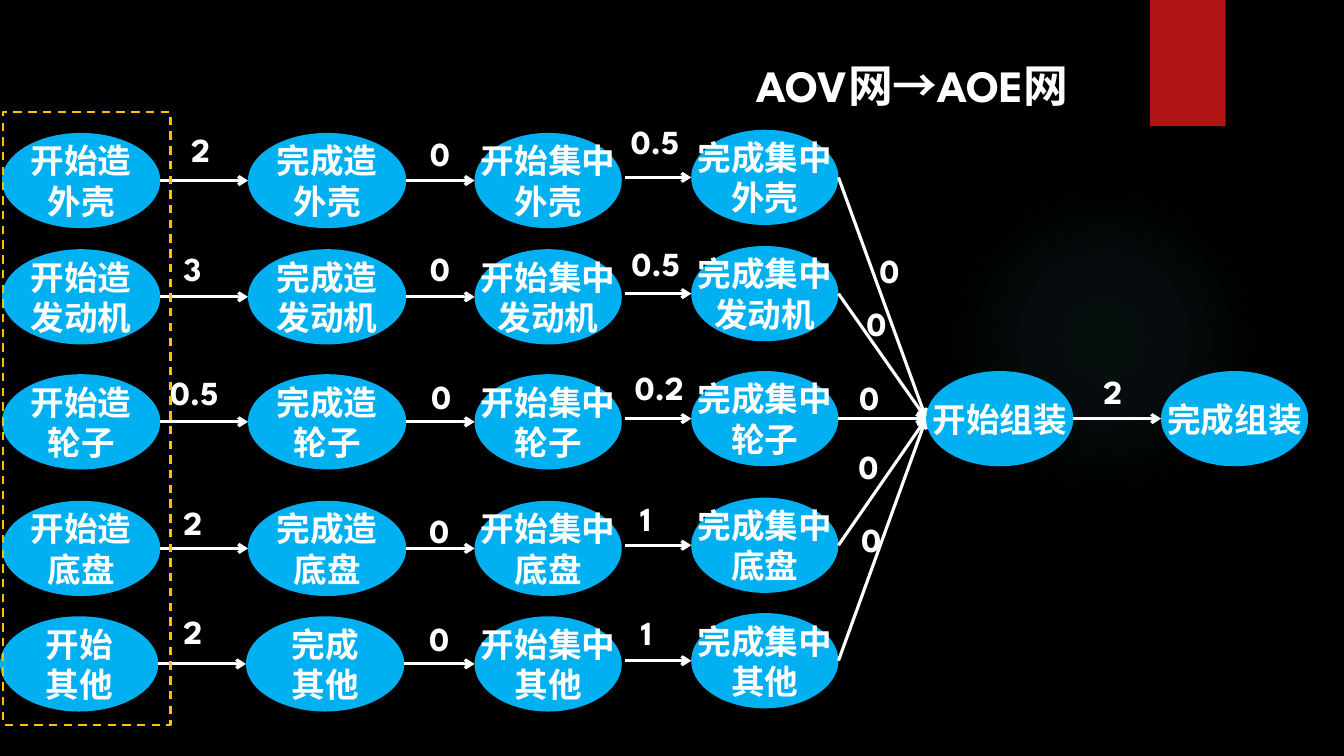
from lxml import etree
from pptx import Presentation
from pptx import util as u
from pptx.dml.color import RGBColor
from pptx.enum import dml, shapes, text
from pptx.oxml import parse_xml
from pptx.oxml.ns import nsdecls, qn

WHITE, BLUE, RED, AMBER, TEAL = "FFFFFF", "00B0F0", "B01513", "FFC000", "50B9C1"
NODE_HEIGHT, WIDE, NARROW = 2.4, 3.99, 3.71


def paint(fill, colour):
    fill.solid()
    fill.fore_color.rgb = RGBColor.from_string(colour)


def write(frame, words, size=24, align=text.PP_ALIGN.LEFT,
          anchor=text.MSO_ANCHOR.TOP, wrap=True, font="League Spartan", colour=WHITE):
    frame.text = words
    frame.word_wrap = wrap
    frame.auto_size = text.MSO_AUTO_SIZE.NONE
    frame.vertical_anchor = anchor
    for paragraph in frame.paragraphs:
        paragraph.alignment = align
        paragraph.font.name = font
        paragraph.font.size = u.Pt(size)
        paragraph.font.bold = True
        paint(paragraph.font.fill, colour)


class NetworkSlide:
    """Draws an activity network on one slide, measured in centimetres."""

    def __init__(self, deck):
        self.slide = deck.slides.add_slide(deck.slide_layouts[5])
        paint(self.slide.background.fill, "000000")

    def title(self, words, *box):
        heading = self.slide.shapes.title
        heading.left, heading.top, heading.width, heading.height = map(u.Cm, box)
        write(heading.text_frame, words, size=32)

    def preset(self, kind, box, colour=None):
        shape = self.slide.shapes.add_shape(kind, *map(u.Cm, box))
        shape.shadow.inherit = False
        shape.line.fill.background()
        if colour:
            paint(shape.fill, colour)
        else:
            shape.fill.background()
        return shape

    def glow(self, *box):
        halo = self.preset(shapes.MSO_SHAPE.OVAL, box)
        stops = "".join(
            f'<a:gs pos="{place}000"><a:srgbClr val="{TEAL}">'
            f'<a:alpha val="{opacity}000"/></a:srgbClr></a:gs>'
            for place, opacity in ((0, 7), (36, 6), (69, 0)))
        gradient = parse_xml(
            f'<a:gradFill {nsdecls("a")}><a:gsLst>{stops}</a:gsLst><a:path path="circle">'
            '<a:fillToRect l="50000" t="50000" r="50000" b="50000"/></a:path></a:gradFill>')
        properties = halo.element.spPr
        properties.replace(properties.find(qn("a:noFill")), gradient)

    def frame(self, *box):
        outline = self.preset(shapes.MSO_SHAPE.RECTANGLE, box)
        paint(outline.line.fill, AMBER)
        outline.line.width = u.Pt(1.5)
        outline.line.dash_style = dml.MSO_LINE.DASH

    def node(self, words, left, top, width):
        event = self.preset(shapes.MSO_SHAPE.OVAL, (left, top, width, NODE_HEIGHT), BLUE)
        write(event.text_frame, words, align=text.PP_ALIGN.CENTER,
              anchor=text.MSO_ANCHOR.MIDDLE, wrap=False)

    def arrow(self, *ends):
        activity = self.slide.shapes.add_connector(
            shapes.MSO_CONNECTOR.STRAIGHT, *map(u.Cm, ends))
        paint(activity.line.fill, WHITE)
        activity.line.width = u.Pt(2.25)
        properties = activity.element.spPr
        etree.SubElement(properties.find(qn("a:ln")), qn("a:tailEnd"), type="arrow")
        etree.SubElement(properties, qn("a:effectLst"))

    def weight(self, words, left, top):
        label = self.slide.shapes.add_textbox(*map(u.Cm, (left, top, 3.53, 1.27)))
        write(label.text_frame, words)


STAGES = [("开始造", 0.05, WIDE, 0), ("完成造", 6.25, WIDE, 0),
          ("开始集中", 11.96, NARROW, 0), ("完成集中", 17.42, NARROW, -0.08)]

PARTS = [
    ("外壳", 3.35, [("2", 4.57, 3.12), ("0", 10.59, 3.23),
                  ("0.5", 15.65, 2.92), ("0", 21.92, 6.17)]),
    ("发动机", 6.28, [("3", 4.37, 6.12), ("0", 10.59, 6.12),
                   ("0.5", 15.67, 5.99), ("0", 21.59, 7.52)]),
    ("轮子", 9.43, [("0.5", 4.04, 9.25), ("0", 10.62, 9.35),
                  ("0.2", 15.75, 9.12), ("0", 21.41, 9.37)]),
    ("底盘", 12.62, [("2", 4.37, 12.52), ("0", 10.57, 12.73),
                   ("1", 15.88, 12.42), ("0", 21.39, 11.1)]),
    ("其他", 15.53, [("2", 4.37, 15.27), ("0", 10.57, 15.44),
                   ("1", 15.9, 15.29), ("0", 21.46, 12.95)]),
]

ASSEMBLY_START, ASSEMBLY_END, ASSEMBLY_TOP = 23.34, 29.26, 9.35


def main():
    deck = Presentation()
    deck.slide_width, deck.slide_height = u.Cm(33.87), u.Cm(19.05)
    network = NetworkSlide(deck)
    network.glow(23.9, 4.65, 7.82, 7.82)
    network.preset(shapes.MSO_SHAPE.RECTANGLE, (28.98, 0, 1.91, 3.18), RED)
    network.title("AOV网→AOE网", 18.8, 1.32, 10.92, 1.63)

    middle = ASSEMBLY_TOP + NODE_HEIGHT / 2
    for part, row_top, weights in PARTS:
        previous_right = None
        for stage, left, width, lift in STAGES:
            if part == "其他" and width == WIDE:
                stage, left = stage.removesuffix("造"), left - 0.05
            top = row_top + lift
            centre = top + NODE_HEIGHT / 2
            network.node(f"{stage}\n{part}", left, top, width)
            if previous_right is not None:
                gap = 0.08 if lift else 0
                network.arrow(previous_right + gap, centre, left, centre)
            previous_right = left + width
        network.arrow(previous_right, centre, ASSEMBLY_START, middle)
        for weight in weights:
            network.weight(*weight)

    network.node("开始组装", ASSEMBLY_START, ASSEMBLY_TOP, NARROW)
    network.node("完成组装", ASSEMBLY_END, ASSEMBLY_TOP, NARROW)
    network.arrow(ASSEMBLY_START + NARROW, middle, ASSEMBLY_END, middle)
    network.weight("2", 27.56, 9.22)
    network.frame(0.08, 2.82, 4.22, 15.44)
    deck.save("out.pptx")


if __name__ == "__main__":
    main()
